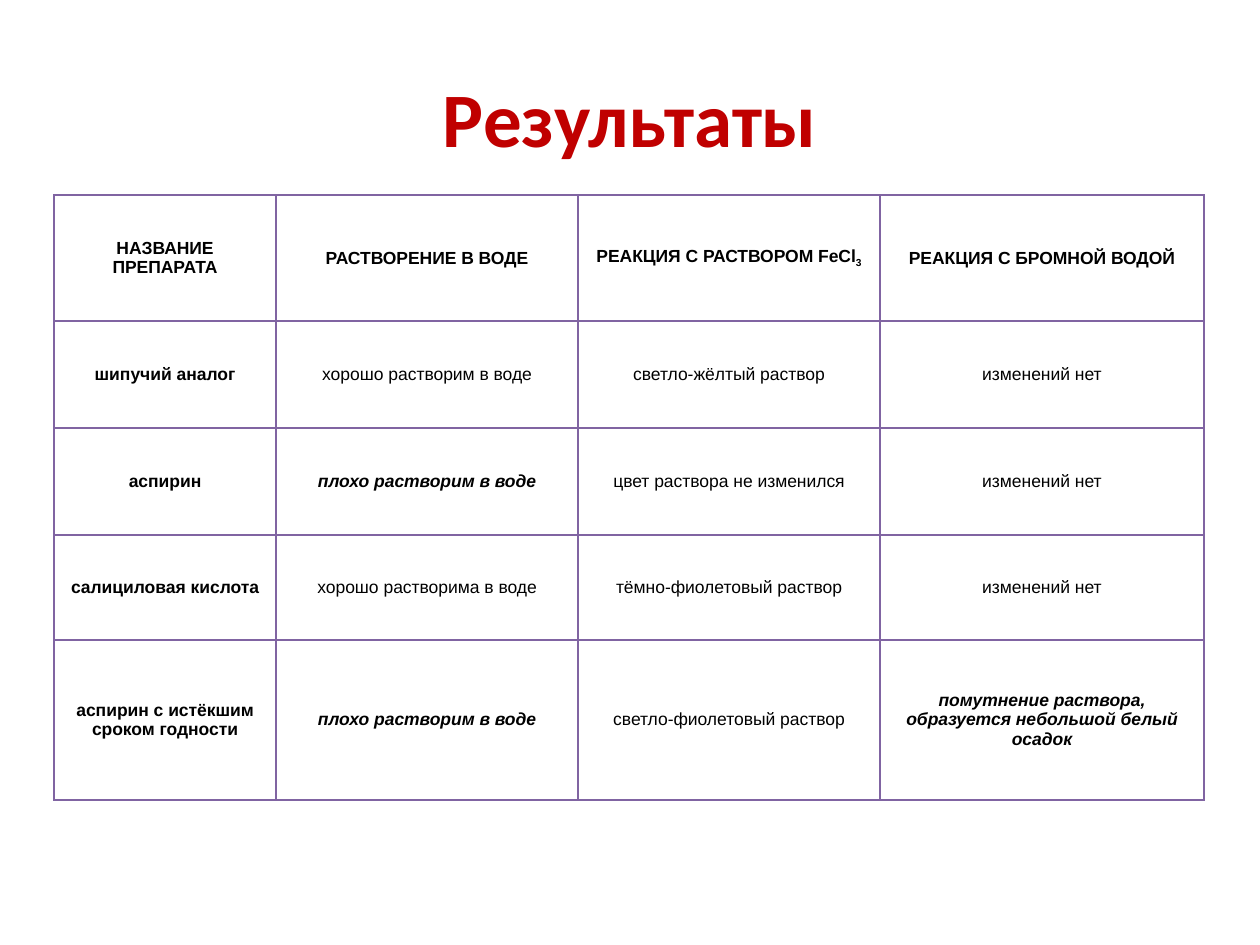
from dataclasses import dataclass

from lxml.etree import SubElement
from pptx import Presentation
from pptx.dml.color import RGBColor
from pptx.enum.text import MSO_ANCHOR, PP_ALIGN
from pptx.oxml.ns import qn
from pptx.util import Emu, Pt

EMU_PER_PX = 914400 / 126
COLORS = {"title": "C00000", "text": "000000", "border": "8064A2"}
COLUMN_WIDTHS = (222, 302, 302, 324)
ROW_HEIGHTS = (126, 107, 107, 105, 160)


@dataclass(frozen=True)
class Entry:
    text: str
    bold: bool = False
    italic: bool = False
    subscript: str = ""


def header(text: str, subscript: str = "") -> Entry:
    return Entry(text, bold=True, subscript=subscript)


def highlight(text: str) -> Entry:
    return Entry(text, bold=True, italic=True)


NO_CHANGE = Entry("изменений нет")
POORLY_SOLUBLE = highlight("плохо растворим в воде")
RESULTS = (
    (
        header("НАЗВАНИЕ ПРЕПАРАТА"),
        header("РАСТВОРЕНИЕ В ВОДЕ"),
        header("РЕАКЦИЯ С РАСТВОРОМ FeCl", subscript="3"),
        header("РЕАКЦИЯ С БРОМНОЙ ВОДОЙ"),
    ),
    (
        header("шипучий аналог"),
        Entry("хорошо растворим в воде"),
        Entry("светло-жёлтый раствор"),
        NO_CHANGE,
    ),
    (
        header("аспирин"),
        POORLY_SOLUBLE,
        Entry("цвет раствора не изменился"),
        NO_CHANGE,
    ),
    (
        header("салициловая кислота"),
        Entry("хорошо растворима в воде"),
        Entry("тёмно-фиолетовый раствор"),
        NO_CHANGE,
    ),
    (
        header("аспирин с истёкшим сроком годности"),
        POORLY_SOLUBLE,
        Entry("светло-фиолетовый раствор"),
        highlight("помутнение раствора, образуется небольшой белый осадок"),
    ),
)


def px(length: int) -> Emu:
    return Emu(round(length * EMU_PER_PX))


def add_run(paragraph, text: str, font_name: str, size: int, color: str,
            bold: bool, italic: bool = False):
    run = paragraph.add_run()
    run.text = text
    run.font.name = font_name
    run.font.size = Pt(size)
    run.font.bold = bold
    run.font.italic = italic
    run.font.color.rgb = RGBColor.from_string(COLORS[color])
    return run


def draw_title(slide, text: str) -> None:
    title = slide.shapes.title
    title.left, title.top, title.width, title.height = map(px, (63, 38, 1134, 158))
    title.text_frame.vertical_anchor = MSO_ANCHOR.MIDDLE
    paragraph = title.text_frame.paragraphs[0]
    paragraph.alignment = PP_ALIGN.CENTER
    add_run(paragraph, text, "Calibri", 44, "title", bold=True)


def draw_borders(cell) -> None:
    properties = cell._tc.get_or_add_tcPr()
    for side in ("lnL", "lnR", "lnT", "lnB"):
        line = SubElement(properties, qn(f"a:{side}"), w=str(Pt(1)))
        fill = SubElement(line, qn("a:solidFill"))
        SubElement(fill, qn("a:srgbClr"), val=COLORS["border"])


def draw_cell(cell, entry: Entry) -> None:
    draw_borders(cell)
    cell.fill.background()
    cell.vertical_anchor = MSO_ANCHOR.MIDDLE
    cell.margin_left = cell.margin_right = px(9)
    cell.margin_top = cell.margin_bottom = 0
    paragraph = cell.text_frame.paragraphs[0]
    paragraph.alignment = PP_ALIGN.CENTER
    add_run(paragraph, entry.text, "Arial", 10, "text", entry.bold, entry.italic)
    if entry.subscript:
        paragraph.space_after = Pt(10)
        run = add_run(paragraph, entry.subscript, "Arial", 10, "text", entry.bold)
        run._r.get_or_add_rPr().set("baseline", "-25000")


def draw_results(slide) -> None:
    table = slide.shapes.add_table(
        len(ROW_HEIGHTS), len(COLUMN_WIDTHS), px(54), px(195),
        px(sum(COLUMN_WIDTHS)), px(sum(ROW_HEIGHTS)),
    ).table
    table.horz_banding = False
    for column, width in zip(table.columns, COLUMN_WIDTHS):
        column.width = px(width)
    for row, height, entries in zip(table.rows, ROW_HEIGHTS, RESULTS):
        row.height = px(height)
        for cell, entry in zip(row.cells, entries):
            draw_cell(cell, entry)


def main() -> None:
    presentation = Presentation()
    presentation.slide_width = px(1260)
    presentation.slide_height = px(945)
    slide = presentation.slides.add_slide(presentation.slide_layouts[5])
    draw_title(slide, "Результаты")
    draw_results(slide)
    presentation.save("out.pptx")


if __name__ == "__main__":
    main()
